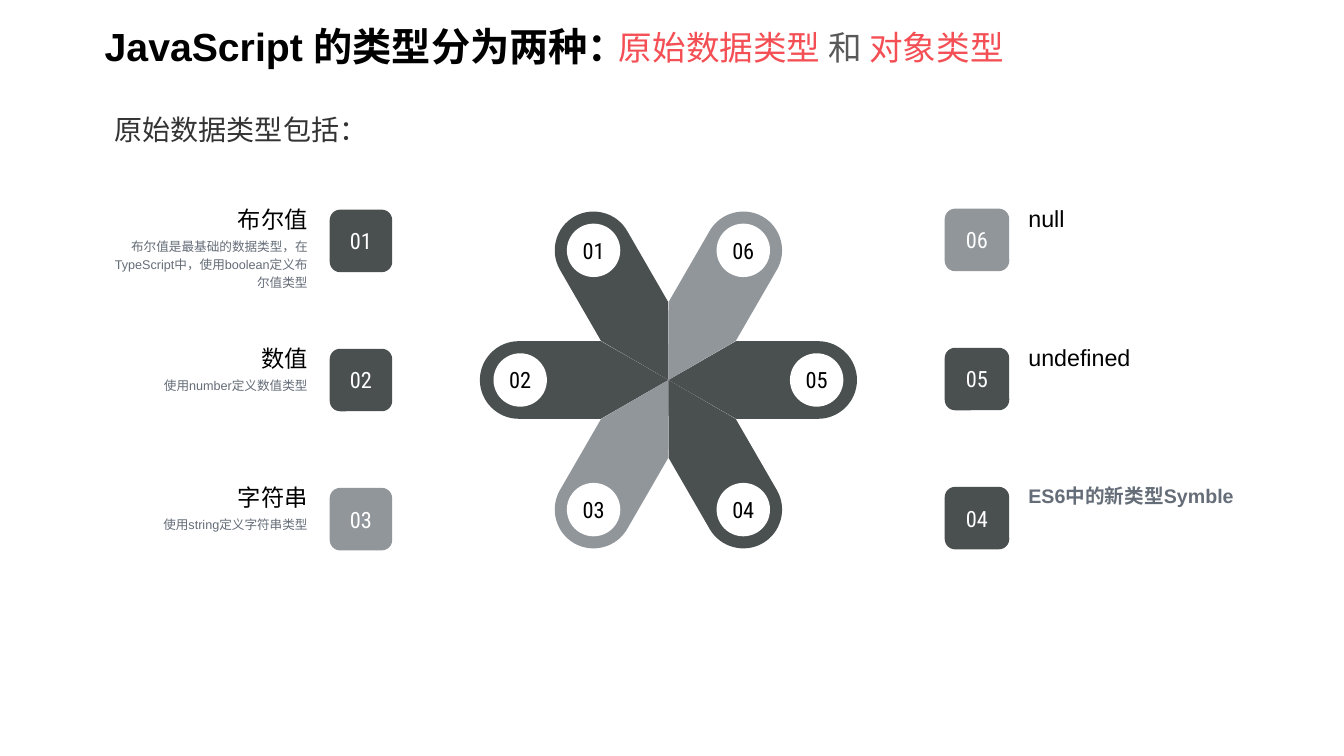
import math

import pptx
import pptx.dml.color
import pptx.enum.shapes
import pptx.enum.text
import pptx.oxml
import pptx.oxml.ns
import pptx.util

Inches = pptx.util.Inches
SHAPE = pptx.enum.shapes.MSO_SHAPE
ANCHOR = pptx.enum.text.MSO_ANCHOR
ALIGN = pptx.enum.text.PP_ALIGN
FIT = pptx.enum.text.MSO_AUTO_SIZE

COLORS = {
    "dark": "4A4F4F", "light": "91969B", "white": "FFFFFF", "black": "000000",
    "slate": "656D78", "red": "F44F54", "gray": "595959", "charcoal": "333333",
}
CENTER_X, CENTER_Y = 6.63, 3.77
ROW_STEP = 1.38
LEFT_ITEMS = [
    ("布尔值", "布尔值是最基础的数据类型，在TypeScript中，使用boolean定义布尔值类型"),
    ("数值", "使用number定义数值类型"),
    ("字符串", "使用string定义字符串类型"),
]
RIGHT_ITEMS = [
    ("null", 1.18, {}),
    ("undefined", 1.18, {}),
    ("ES6中的新类型Symble", 2.2, {"size": 14, "color": "slate", "bold": True}),
]


def rgb(name):
    return pptx.dml.color.RGBColor.from_string(COLORS[name])


def write(tf, text, size=16.6, color="black", font="Arial", bold=False,
          align=ALIGN.LEFT, spacing=None):
    p = tf.paragraphs[0]
    p.alignment = align
    if spacing:
        p.line_spacing = spacing
    r = p.add_run()
    r.text = text
    r.font.size = pptx.util.Pt(size)
    r.font.name = font
    r.font.bold = bold
    r.font.color.rgb = rgb(color)
    if "CJK" in font:
        ea = pptx.oxml.parse_xml(
            f'<a:ea {pptx.oxml.ns.nsdecls("a")} typeface="{font}"/>')
        r.font._element.append(ea)


def bend(segments):
    curve = pptx.oxml.parse_xml(
        f'<a:cubicBezTo {pptx.oxml.ns.nsdecls("a")}/>')
    segments[0].addprevious(curve)
    for segment in segments:
        curve.append(segment[0])
        segment.getparent().remove(segment)


class Deck:
    number_font = "Roboto Condensed"
    number_size = 16

    def __init__(self, width, height):
        self.prs = pptx.Presentation()
        self.prs.slide_width = Inches(width)
        self.prs.slide_height = Inches(height)
        self.slide = self.prs.slides.add_slide(self.prs.slide_layouts[6])
        self.shapes = self.slide.shapes

    def start_group(self):
        self.shapes = self.slide.shapes.add_group_shape().shapes

    def end_group(self):
        self.shapes = self.slide.shapes

    def paint(self, sp, color):
        sp.shadow.inherit = False
        sp.fill.solid()
        sp.fill.fore_color.rgb = rgb(color)
        sp.line.fill.background()

    def frame(self, sp, wrap=False, anchor=ANCHOR.MIDDLE):
        tf = sp.text_frame
        tf.margin_left = tf.margin_top = tf.margin_right = tf.margin_bottom = 0
        tf.word_wrap = wrap
        tf.vertical_anchor = anchor
        return tf

    def number(self, kind, n, box, fill, color):
        sp = self.shapes.add_shape(kind, *map(Inches, box))
        if kind == SHAPE.ROUNDED_RECTANGLE:
            sp.adjustments[0] = 0.166
        self.paint(sp, fill)
        write(self.frame(sp), f"{n:02d}", size=self.number_size, color=color,
              font=self.number_font, align=ALIGN.CENTER)

    def label(self, box, text, wrap=False, anchor=ANCHOR.MIDDLE, **style):
        sp = self.shapes.add_textbox(*map(Inches, box))
        write(self.frame(sp, wrap, anchor), text, **style)

    def heading(self, box, runs, wrap=True, **style):
        sp = self.shapes.add_textbox(*map(Inches, box))
        tf = sp.text_frame
        tf.word_wrap = wrap
        tf.auto_size = FIT.SHAPE_TO_FIT_TEXT
        for text, color in runs:
            write(tf, text, color=color, **style)

    def petal(self, angle, color):
        radius, reach, notch = 0.385, 1.485, 0.67
        tip, pull = reach + radius, 0.55 * radius
        side = [(tip, 0), (tip, pull), (reach + pull, radius),
                (reach, radius), (notch, radius)]
        outline = side + [(0, 0)] + [(x, -y) for x, y in reversed(side)]
        cos, sin = math.cos(angle), math.sin(angle)
        points = [(Inches(CENTER_X + x * cos + y * sin),
                   Inches(CENTER_Y - x * sin + y * cos)) for x, y in outline]
        builder = self.shapes.build_freeform(*points[0], scale=1.0)
        builder.add_line_segments(points[1:], close=True)
        sp = builder.convert_to_shape()
        segments = list(sp._element.iter(pptx.oxml.ns.qn("a:lnTo")))
        bend(segments[:3])
        bend(segments[-3:])
        self.paint(sp, color)


def shade(n):
    return "light" if n % 3 == 0 else "dark"


def main():
    deck = Deck(13.33, 7.5)

    deck.start_group()
    dot = 0.53
    for n in range(1, 7):
        angle = math.radians(60 + 60 * n)
        deck.petal(angle, shade(n))
        dot_reach = 1.47 if n in (2, 5) else 1.485
        left = CENTER_X + dot_reach * math.cos(angle) - dot / 2
        top = CENTER_Y - dot_reach * math.sin(angle) - dot / 2
        deck.number(SHAPE.OVAL, n, (left, top, dot, dot), "white", "black")

    for row, (text, width, style) in enumerate(RIGHT_ITEMS):
        n, y = 6 - row, row * ROW_STEP
        deck.start_group()
        deck.label((10.2, 2.04 + y, width, 0.24), text, **style)
        deck.number(SHAPE.ROUNDED_RECTANGLE, n, (9.37, 2.07 + y, 0.64, 0.62),
                    shade(n), "white")

    for row, (title, detail) in enumerate(LEFT_ITEMS):
        n, y = row + 1, row * ROW_STEP
        deck.start_group()
        deck.label((1.87, 2.05 + y, 1.18, 0.24), title, align=ALIGN.RIGHT)
        deck.label((1.02, 2.34 + y, 2.03, 0.81), detail, wrap=True,
                   anchor=ANCHOR.TOP, size=9, color="slate",
                   align=ALIGN.RIGHT, spacing=1.2)
        deck.number(SHAPE.ROUNDED_RECTANGLE, n, (3.27, 2.08 + y, 0.62, 0.62),
                    shade(n), "white")

    deck.end_group()
    deck.heading((0.94, 0.03, 5.55, 0.65), [("JavaScript 的类型分为两种：", "black")],
                 size=28, bold=True, spacing=1.3)
    deck.heading((6.04, 0.02, 6.26, 0.64),
                 [("原始数据类型 ", "red"), ("和 ", "gray"), ("对象类型", "red")],
                 size=24, font="Noto Sans CJK SC", spacing=1.5)
    deck.heading((1.04, 1.07, 2.73, 0.44), [("原始数据类型包括：", "charcoal")],
                 wrap=False, size=20, font="Roboto")
    deck.prs.save("out.pptx")


if __name__ == "__main__":
    main()
